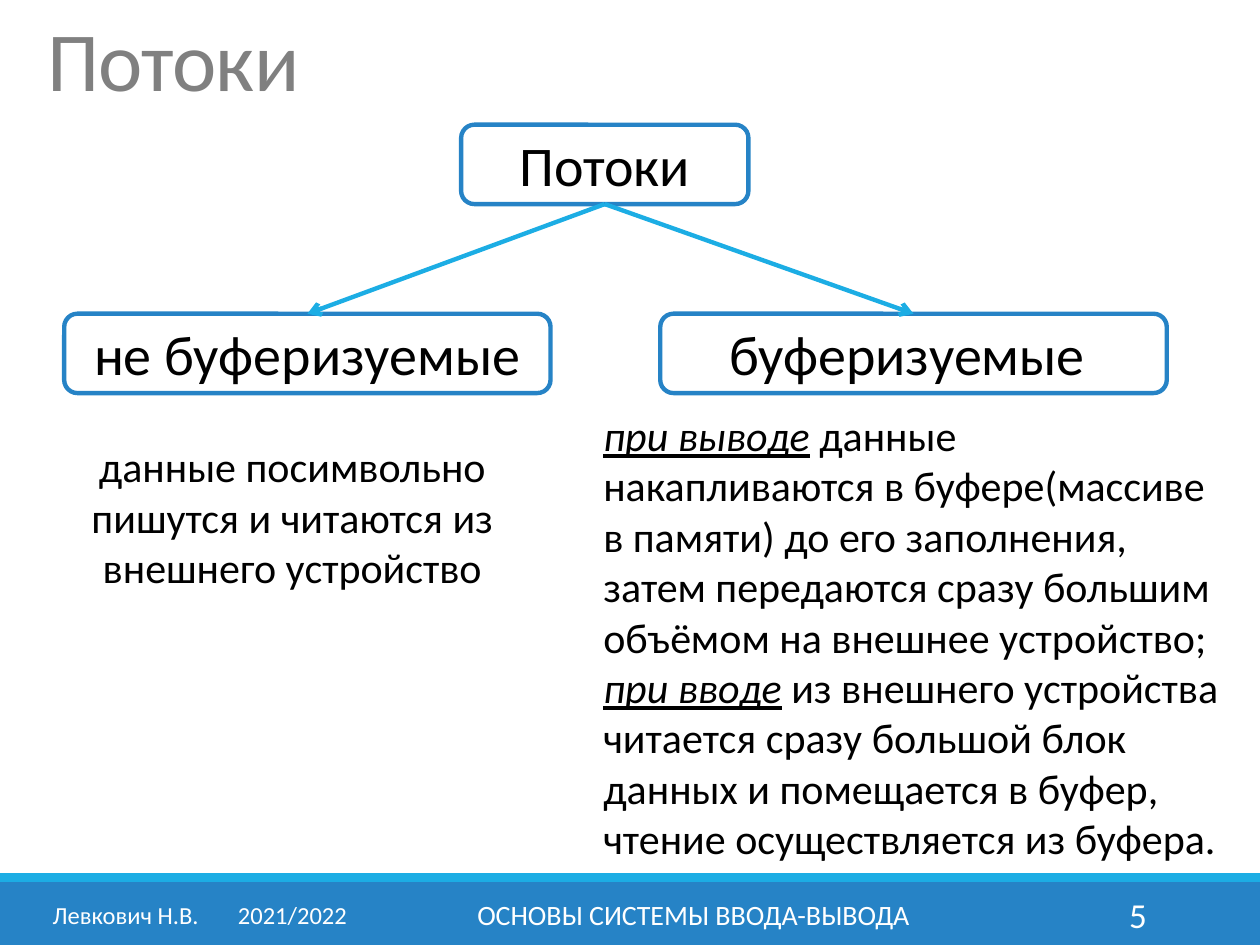
"""Build a slide on buffered and unbuffered streams as a small tree."""
from pptx import Presentation
from pptx.dml.color import RGBColor
from pptx.enum.shapes import MSO_CONNECTOR, MSO_SHAPE
from pptx.enum.text import MSO_ANCHOR, PP_ALIGN
from pptx.oxml.ns import qn
from pptx.util import Inches, Pt
from lxml.etree import SubElement

BLACK = RGBColor(0, 0, 0)
WHITE = RGBColor(0xFF, 0xFF, 0xFF)
GRAY = RGBColor(0x80, 0x80, 0x80)
BLUE = RGBColor(0x26, 0x83, 0xC6)
SKY = RGBColor(0x1C, 0xAD, 0xE4)
FONT = "Calibri"
LEFT, MID, RIGHT = PP_ALIGN.LEFT, PP_ALIGN.CENTER, PP_ALIGN.RIGHT

WIDTH, HEIGHT = 10, 7.5
FOOT, STRIPE = 0.5, 0.07
BOX = 0.63
ROOT = ("Потоки", 3.66, 0.99, 2.28)
KINDS = [("не буферизуемые", 0.51, 2.49, 3.86),
         ("буферизуемые ", 5.24, 2.49, 4.02)]
TITLE = "Потоки"
PLAIN = "данные посимвольно пишутся и читаются из внешнего устройство"
BUFFER = [
    ("при выводе", " данные накапливаются в буфере(массиве в памяти) до его "
     "заполнения, затем передаются сразу большим объёмом на внешнее устройство;"),
    ("при вводе", " из внешнего устройства читается сразу большой блок данных "
     "и помещается в буфер, чтение осуществляется из буфера."),
]
FOOTER = [("Левкович Н.В.\t2021/2022", 0.32, 2.61, 14, LEFT, 1.47),
          ("ОСНОВЫ СИСТЕМЫ ВВОДА-ВЫВОДА", 3.02, 4.97, 16, MID, None),
          ("5", 8.12, 1.08, 20, RIGHT, None)]


def write(frame, text, size=24, color=BLACK, align=LEFT, anchor=MSO_ANCHOR.MIDDLE,
          space=None, track=None, tab=None):
    """Fill a frame with a string, or with lines of (marked, plain) pairs."""
    frame.word_wrap = True
    frame.vertical_anchor = anchor
    para = frame.paragraphs[0]
    para.alignment = align
    if space:
        para.line_spacing = space
    if tab:
        tabs = SubElement(para._p.get_or_add_pPr(), qn("a:tabLst"))
        SubElement(tabs, qn("a:tab"), pos=str(Inches(tab)), algn="l")
    lines = [("", text)] if isinstance(text, str) else text
    for row, (mark, rest) in enumerate(lines):
        if row:
            para.add_line_break()
        for part, strong in ((mark, True), (rest, False)):
            if not part:
                continue
            run = para.add_run()
            run.text = part
            font = run.font
            font.name, font.size, font.color.rgb = FONT, Pt(size), color
            font.italic = font.underline = strong
            if track:
                run._r.get_or_add_rPr().set("spc", str(round(track * 100)))


def label(slide, text, left, top, width, height, **style):
    """Place a text box."""
    box = slide.shapes.add_textbox(*map(Inches, (left, top, width, height)))
    write(box.text_frame, text, **style)


def shape(slide, kind, left, top, width, height, fill, line=None):
    """Place a flat preset shape."""
    item = slide.shapes.add_shape(kind, *map(Inches, (left, top, width, height)))
    item.shadow.inherit = False
    item.fill.solid()
    item.fill.fore_color.rgb = fill
    if line:
        item.line.color.rgb, item.line.width = line, Pt(2.5)
    else:
        item.line.fill.background()
    return item


def node(slide, text, left, top, width):
    """Place a rounded tree box."""
    item = shape(slide, MSO_SHAPE.ROUNDED_RECTANGLE, left, top, width, BOX, WHITE, BLUE)
    write(item.text_frame, text, size=32, align=MID)
    return item


def arrow(slide, start, end):
    """Join the bottom of one box to the top of another."""
    link = slide.shapes.add_connector(MSO_CONNECTOR.STRAIGHT, 0, 0, 0, 0)
    link.begin_connect(start, 2)
    link.end_connect(end, 0)
    link.line.color.rgb, link.line.width = SKY, Pt(2.5)
    SubElement(link.line._get_or_add_ln(), qn("a:tailEnd"), type="arrow")
    SubElement(link._element.spPr, qn("a:effectLst"))


def main():
    """Assemble and save the slide."""
    deck = Presentation()
    deck.slide_width, deck.slide_height = Inches(WIDTH), Inches(HEIGHT)
    slide = deck.slides.add_slide(deck.slide_layouts[6])
    base = HEIGHT - FOOT
    shape(slide, MSO_SHAPE.RECTANGLE, 0, base, WIDTH, FOOT, BLUE)
    shape(slide, MSO_SHAPE.RECTANGLE, 0, base - STRIPE, WIDTH, STRIPE, SKY)
    root = node(slide, *ROOT)
    kinds = [node(slide, *kind) for kind in KINDS]
    label(slide, BUFFER, 4.69, 3.28, 5.2, 3.54)
    for kind in kinds:
        arrow(slide, root, kind)
    label(slide, PLAIN, 0.43, 2.88, 3.78, 2.44, align=MID)
    label(slide, TITLE, 0.28, 0.13, 9.45, 0.87, size=48, color=GRAY,
          anchor=MSO_ANCHOR.TOP, space=0.85, track=-0.5)
    for text, left, width, size, align, tab in FOOTER:
        label(slide, text, left, base + 0.06, width, 0.4, size=size,
              color=WHITE, align=align, tab=tab)
    deck.save("out.pptx")


if __name__ == "__main__":
    main()
